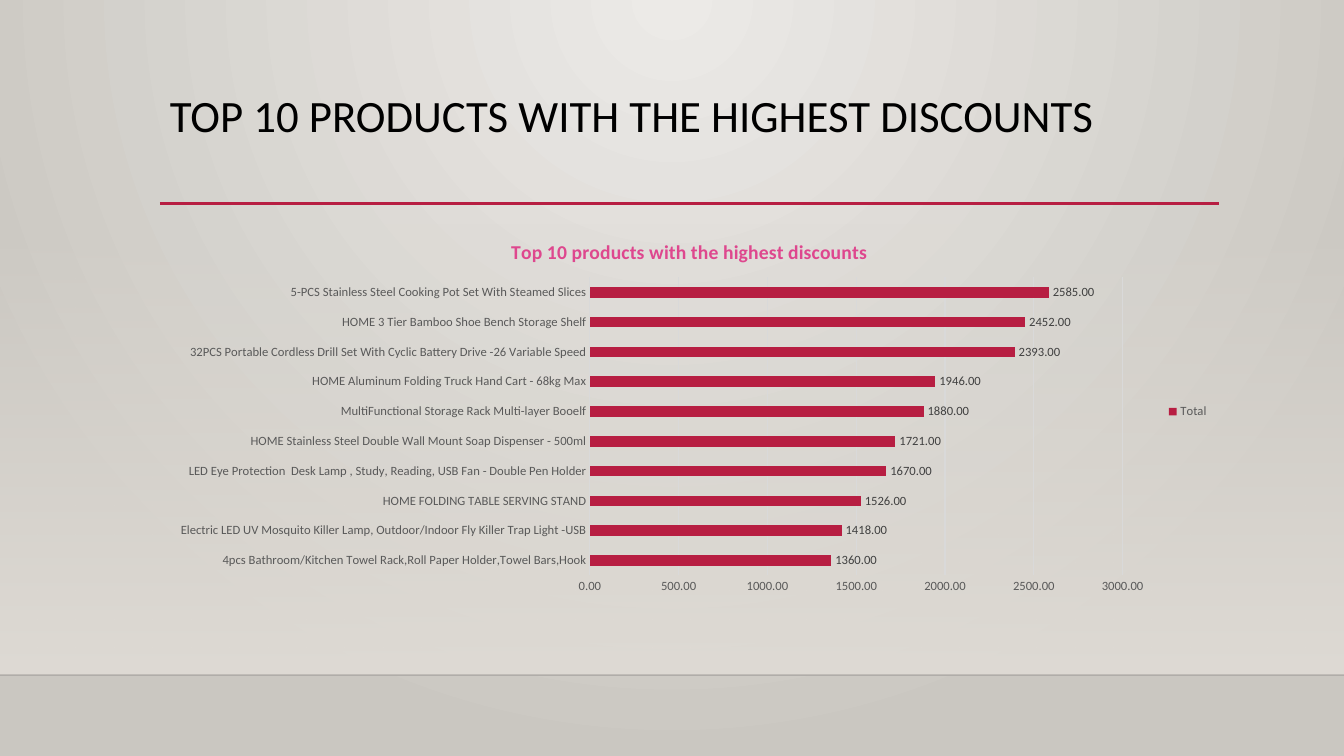
from lxml import etree
from pptx import Presentation
from pptx import util as u
from pptx.chart.data import CategoryChartData
from pptx.dml.color import RGBColor
from pptx.enum import chart as kinds
from pptx.enum import shapes, text
from pptx.oxml import parse_xml
from pptx.oxml.ns import nsdecls, qn

HUES = {
    "glow": "ECEAE7", "edge": "CAC7C1", "haze": "DFDBD5", "floor": "000001",
    "red": "B71E42", "pink": "DE478E", "black": "000000",
    "dark": "404040", "gray": "595959", "grid": "D9D9D9",
}
LEFT, WIDE = 11.9, 78.8
GOODS = [
    ("4pcs Bathroom/Kitchen Towel Rack,Roll Paper Holder,Towel Bars,Hook", 1360),
    ("Electric LED UV Mosquito Killer Lamp, Outdoor/Indoor Fly Killer Trap Light -USB", 1418),
    ("HOME FOLDING TABLE SERVING STAND", 1526),
    ("LED Eye Protection  Desk Lamp , Study, Reading, USB Fan - Double Pen Holder", 1670),
    ("HOME Stainless Steel Double Wall Mount Soap Dispenser - 500ml", 1721),
    ("MultiFunctional Storage Rack Multi-layer Booelf", 1880),
    ("HOME Aluminum Folding Truck Hand Cart - 68kg Max", 1946),
    ("32PCS Portable Cordless Drill Set With Cyclic Battery Drive -26 Variable Speed", 2393),
    ("HOME 3 Tier Bamboo Shoe Bench Storage Shelf", 2452),
    ("5-PCS Stainless Steel Cooking Pot Set With Steamed Slices", 2585),
]


def hue(name):
    return RGBColor.from_string(HUES[name])


def style(font, size=9, color="gray", bold=False):
    font.name, font.size, font.bold = "Calibri", u.Pt(size), bold
    font.color.rgb = hue(color)


def write(frame, words, **look):
    para = frame.paragraphs[0]
    run = para.add_run()
    run.text = words
    style(run.font, **look)
    return para


def fade(node, share):
    color = next(node.iter(qn("a:srgbClr")))
    etree.SubElement(color, qn("a:alpha")).set("val", str(share * 1000))


def blend(fill, *names):
    fill.gradient()
    for stop, name in zip(fill.gradient_stops, names):
        stop.color.rgb = hue(name)


class Deck:
    """Draws on one slide, with lengths in percent of its size."""

    def __init__(self):
        self.show = Presentation()
        self.show.slide_width = u.Inches(13.33)
        self.show.slide_height = u.Inches(7.5)
        self.slide = self.show.slides.add_slide(self.show.slide_layouts[6])
        self.items = self.slide.shapes

    def place(self, *shares):
        sides = (self.show.slide_width, self.show.slide_height) * 2
        return [int(side * share / 100) for side, share in zip(sides, shares)]

    def back(self, *names):
        blend(self.slide.background.fill, *names)
        beam = next(self.slide.element.iter(qn("a:lin")))
        beam.getparent().replace(beam, parse_xml(
            f'<a:path {nsdecls("a")} path="circle">'
            '<a:fillToRect l="43000" t="0" r="43000" b="100000"/></a:path>'))

    def veil(self, box, name):
        veil = self.items.add_shape(shapes.MSO_SHAPE.RECTANGLE, *self.place(*box))
        veil.shadow.inherit = False
        veil.line.fill.background()
        blend(veil.fill, name, name)
        veil.fill.gradient_angle = 270
        fade(veil.element.spPr, 0)

    def rule(self, left, right, top, color, width, share=100):
        ends = self.place(left, top, right, top)
        rule = self.items.add_connector(shapes.MSO_CONNECTOR.STRAIGHT, *ends)
        rule.line.color.rgb = hue(color)
        rule.line.width = u.Pt(width)
        fade(rule.element.spPr, share)
        etree.SubElement(rule.element.spPr, qn("a:effectLst"))

    def title(self, box, words, **look):
        frame = self.items.add_textbox(*self.place(*box)).text_frame
        frame.word_wrap = True
        frame.vertical_anchor = text.MSO_ANCHOR.TOP
        write(frame, words, **look).line_spacing = 0.9

    def bars(self, box, head, name, rows, area):
        data = CategoryChartData(number_format="0.00")
        data.categories = [label for label, _ in rows]
        data.add_series(name, [value for _, value in rows])
        chart = self.items.add_chart(
            kinds.XL_CHART_TYPE.BAR_CLUSTERED, *self.place(*box), data).chart
        style(chart.font, size=10, color="black")
        write(chart.chart_title.text_frame, head, size=14, color="pink", bold=True)
        chart.chart_title.include_in_layout = False
        chart.has_legend = True
        chart.legend.position = kinds.XL_LEGEND_POSITION.RIGHT
        chart.legend.include_in_layout = False
        style(chart.legend.font)
        self.axes(chart)
        self.fit(chart, area)
        plot = chart.plots[0]
        plot.gap_width, plot.vary_by_categories = 182, False
        bar = plot.series[0]
        bar.format.fill.solid()
        bar.format.fill.fore_color.rgb = hue("red")
        marks = bar.data_labels
        marks.show_value = True
        marks.position = kinds.XL_LABEL_POSITION.OUTSIDE_END
        marks.number_format, marks.number_format_is_linked = "0.00", False
        style(marks.font, color="dark")

    def axes(self, chart):
        names, scale = chart.category_axis, chart.value_axis
        for axis in (names, scale):
            axis.major_tick_mark = axis.minor_tick_mark = kinds.XL_TICK_MARK.NONE
            style(axis.tick_labels.font)
        names.has_major_gridlines = False
        scale.has_major_gridlines = True
        for line in (names.format.line, scale.major_gridlines.format.line):
            line.color.rgb = hue("grid")
            line.width = u.Pt(0.75)
        scale.format.line.fill.background()
        scale.minimum_scale, scale.maximum_scale, scale.major_unit = 0, 3000, 500
        scale.tick_labels.number_format = "0.00"
        scale.tick_labels.number_format_is_linked = False

    def fit(self, chart, area):
        plot = next(chart.element.iter(qn("c:plotArea")))
        for old in plot.findall(qn("c:layout")):
            plot.remove(old)
        sides = "".join(f'<c:{key} val="{share / 100}"/>'
                        for key, share in zip("xywh", area))
        plot.insert(0, parse_xml(
            f'<c:layout {nsdecls("c")}><c:manualLayout><c:layoutTarget val="inner"/>'
            f'<c:xMode val="edge"/><c:yMode val="edge"/>{sides}'
            '</c:manualLayout></c:layout>'))


def main():
    deck = Deck()
    deck.back("glow", "edge")
    deck.veil((0, 29.5, 100, 59.9), "haze")
    deck.rule(0, 100, 89.3, "floor", 1, share=20)
    deck.rule(LEFT, LEFT + WIDE, 26.9, "red", 2.5)
    deck.title((LEFT, 11.7, WIDE, 15.3), "TOP 10 PRODUCTS WITH THE HIGHEST DISCOUNTS",
               size=32, color="black")
    deck.bars((LEFT, 29.3, WIDE, 50.3), "Top 10 products with the highest discounts",
              "Total", GOODS, (40.6, 14.7, 50.3, 78.4))
    deck.show.save("out.pptx")


if __name__ == "__main__":
    main()
